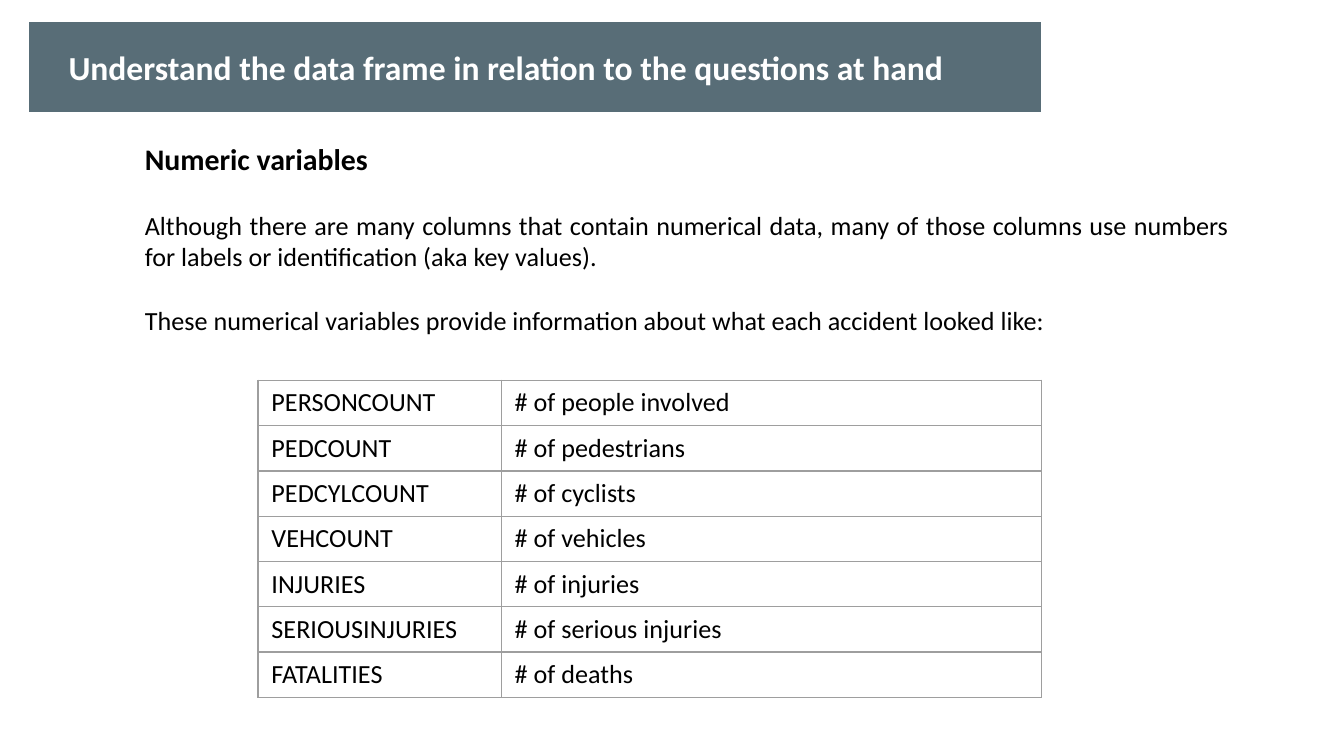
import pptx
import pptx.dml.color
import pptx.enum.shapes
import pptx.enum.text
import pptx.util
from dataclasses import dataclass
from lxml import etree
from pptx.util import Inches

DRAWING = "http://schemas.openxmlformats.org/drawingml/2006/main"
ALIGN = pptx.enum.text.PP_ALIGN
ANCHOR = pptx.enum.text.MSO_ANCHOR


@dataclass(frozen=True)
class Theme:
    font: str = "Calibri"
    banner: str = "586D77"
    light: str = "FFFFFF"
    dark: str = "000000"
    grid: str = "9E9E9E"
    title_size: int = 18
    heading_size: int = 16
    body_size: int = 14
    grid_width: float = 0.75


THEME = Theme()

TITLE = "Understand the data frame in relation to the questions at hand"
HEADING = "Numeric variables"
PARAGRAPHS = (
    "Although there are many columns that contain numerical data, many of those "
    "columns use numbers for labels or identification (aka key values).",
    "These numerical variables provide information about what each accident looked like:",
)
VARIABLES = (
    ("PERSONCOUNT", "# of people involved"),
    ("PEDCOUNT", "# of pedestrians"),
    ("PEDCYLCOUNT", "# of cyclists"),
    ("VEHCOUNT", "# of vehicles"),
    ("INJURIES", "# of injuries"),
    ("SERIOUSINJURIES", "# of serious injuries"),
    ("FATALITIES", "# of deaths"),
)


def color(value):
    return pptx.dml.color.RGBColor.from_string(value)


def style(para, size, ink=THEME.dark, bold=False, align=ALIGN.LEFT):
    para.alignment = align
    para.font.name = THEME.font
    para.font.size = pptx.util.Pt(size)
    para.font.bold = bold
    para.font.color.rgb = color(ink)


def add_banner(page, left, top, width, height):
    """Place the coloured bar and the slide title on it."""
    bar = page.shapes.add_shape(
        pptx.enum.shapes.MSO_SHAPE.RECTANGLE,
        Inches(left), Inches(top), Inches(width), Inches(height))
    bar.shadow.inherit = False
    bar.fill.solid()
    bar.fill.fore_color.rgb = color(THEME.banner)
    bar.line.color.rgb = color(THEME.light)
    bar.line.width = pptx.util.Pt(2)

    title = page.shapes.title
    title.left, title.top = Inches(left + 0.21), Inches(top + 0.15)
    title.width, title.height = Inches(width - 0.38), Inches(height - 0.3)
    title.text_frame.text = TITLE
    title.text_frame.auto_size = pptx.enum.text.MSO_AUTO_SIZE.NONE
    title.text_frame.vertical_anchor = ANCHOR.MIDDLE
    style(title.text_frame.paragraphs[0], THEME.title_size, THEME.light, bold=True)
    title._element.addprevious(bar._element)  # the bar lies behind the title


def add_text(page, left, top, width, height, paragraphs, size, gap=0, **look):
    box = page.shapes.add_textbox(
        Inches(left), Inches(top), Inches(width), Inches(height))
    frame = box.text_frame
    frame.word_wrap = True
    for index, text in enumerate(paragraphs):
        para = frame.add_paragraph() if index else frame.paragraphs[0]
        para.text = text
        para.space_before = pptx.util.Pt(gap if index else 0)
        style(para, size, **look)


def add_explanation(page, left, top, width):
    """Place the heading and the justified paragraphs below it."""
    add_text(page, left, top, 2.16, 0.37, [HEADING], THEME.heading_size, bold=True)
    add_text(page, left, top + 0.51, width, 1.04, PARAGRAPHS, THEME.body_size,
             gap=17, align=ALIGN.JUSTIFY)


def set_borders(cell):
    properties = cell._tc.get_or_add_tcPr()
    for index, side in enumerate(("lnL", "lnR", "lnT", "lnB")):
        line = etree.Element(f"{{{DRAWING}}}{side}",
                             w=str(pptx.util.Pt(THEME.grid_width)))
        fill = etree.SubElement(line, f"{{{DRAWING}}}solidFill")
        etree.SubElement(fill, f"{{{DRAWING}}}srgbClr", val=THEME.grid)
        properties.insert(index, line)


def add_variable_table(page, left, top, widths, height):
    table = page.shapes.add_table(
        len(VARIABLES), len(widths), Inches(left), Inches(top),
        Inches(sum(widths)), Inches(height)).table
    table.first_row = table.horz_banding = False
    for column, width in zip(table.columns, widths):
        column.width = Inches(width)
    for row, texts in zip(table.rows, VARIABLES):
        for cell, text in zip(row.cells, texts):
            cell.text = text
            cell.vertical_anchor = ANCHOR.MIDDLE
            cell.fill.background()
            set_borders(cell)
            style(cell.text_frame.paragraphs[0], THEME.body_size)


def main():
    deck = pptx.Presentation()
    deck.slide_width = Inches(10)
    deck.slide_height = deck.slide_width * 9 // 16
    page = deck.slides.add_slide(deck.slide_layouts.get_by_name("Title Only"))
    add_banner(page, 0.2, 0.15, 7.56, 0.7)
    add_explanation(page, 0.98, 1, 8.27)
    add_variable_table(page, 1.92, 2.83, (1.81, 4.02), 2.36)
    deck.save("out.pptx")


if __name__ == "__main__":
    main()
